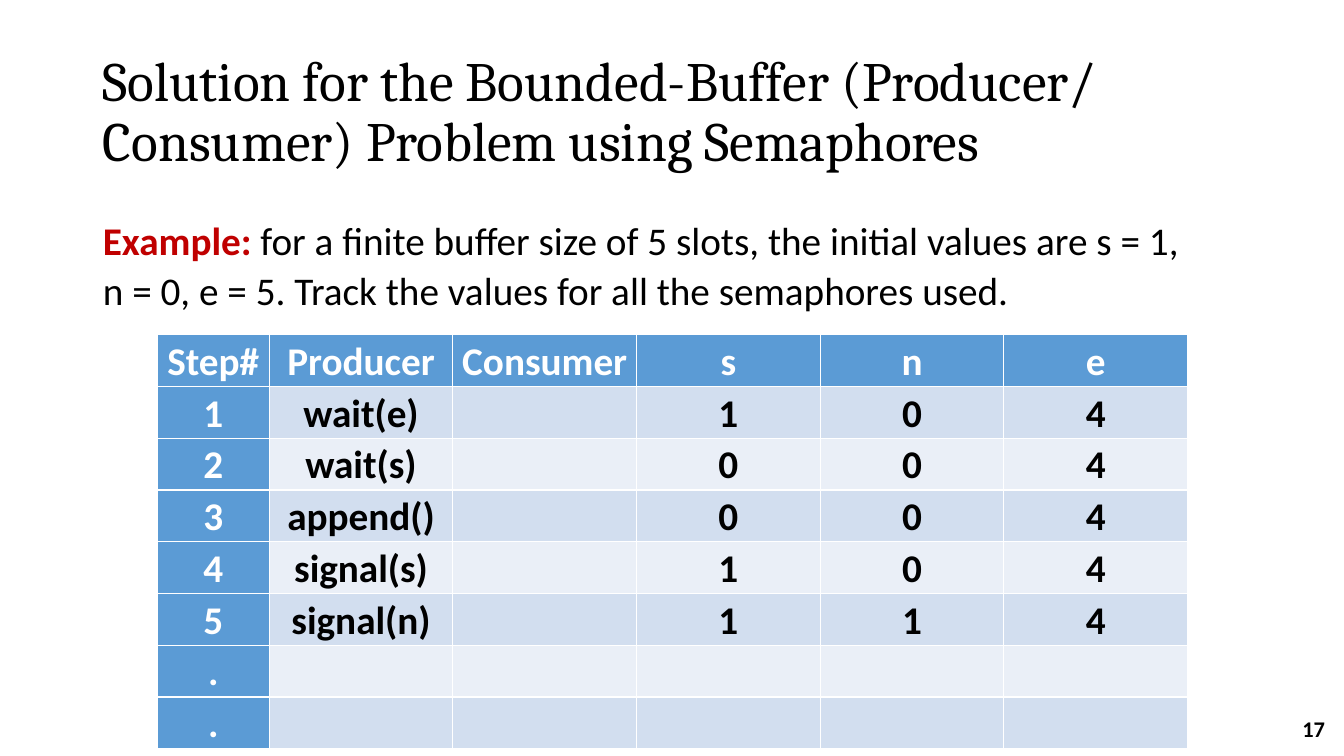
from pptx import Presentation
from pptx.dml.color import RGBColor
from pptx.enum.text import MSO_ANCHOR, MSO_AUTO_SIZE, PP_ALIGN
from pptx.util import Inches, Pt
from lxml.etree import SubElement
from pptx.oxml.ns import qn

BLACK = RGBColor(0x00, 0x00, 0x00)
WHITE = RGBColor(0xFF, 0xFF, 0xFF)
RED = RGBColor(0xC0, 0x00, 0x00)
BLUE = RGBColor(0x5B, 0x9B, 0xD5)
BANDS = (RGBColor(0xEA, 0xEF, 0xF7), RGBColor(0xD2, 0xDE, 0xEF))

TRACE = [
    ("Step#", "Producer", "Consumer", "s", "n", "e"),
    ("1", "wait(e)", "", "1", "0", "4"),
    ("2", "wait(s)", "", "0", "0", "4"),
    ("3", "append()", "", "0", "0", "4"),
    ("4", "signal(s)", "", "1", "0", "4"),
    ("5", "signal(n)", "", "1", "1", "4"),
    (".", "", "", "", "", ""),
    (".", "", "", "", "", ""),
]


def style(font, size, color, bold=False, name="Calibri"):
    font.name, font.size, font.bold = name, Pt(size), bold
    font.color.rgb = color


def place(shape, left, top, width, height):
    shape.left, shape.top = Inches(left), Inches(top)
    shape.width, shape.height = Inches(width), Inches(height)


def fill_title(title, *box):
    place(title, *box)
    frame = title.text_frame
    frame.text = "Solution for the Bounded-Buffer (Producer/ Consumer) Problem using Semaphores"
    frame.vertical_anchor = MSO_ANCHOR.MIDDLE
    frame.auto_size = MSO_AUTO_SIZE.NONE
    heading = frame.paragraphs[0]
    heading.alignment = PP_ALIGN.LEFT
    heading.line_spacing = 0.9
    style(heading.runs[0].font, 39.6, BLACK, name="Cambria")


def fill_example(body, *box):
    place(body, *box)
    frame = body.text_frame
    frame.auto_size = MSO_AUTO_SIZE.NONE
    example = frame.paragraphs[0]
    example.line_spacing = 1.07
    example.space_before, example.space_after = Pt(0), Pt(8)
    properties = example._p.get_or_add_pPr()
    properties.set("marL", "0")
    properties.set("indent", "0")
    SubElement(properties, qn("a:buNone"))

    label = example.add_run()
    label.text = "Example:"
    style(label.font, 28, RED, bold=True)
    setup = example.add_run()
    setup.text = " for a finite buffer size of 5 slots, the initial values are s = 1,"
    example.add_line_break()
    task = example.add_run()
    task.text = "n = 0, e = 5. Track the values for all the semaphores used."
    for run in (setup, task):
        style(run.font, 28, BLACK)


def add_trace_table(slide, left, top, width, height, step_width):
    """Semaphore values per step; the columns after the first share the rest."""
    columns = len(TRACE[0])
    table = slide.shapes.add_table(
        len(TRACE), columns, Inches(left), Inches(top), Inches(width), Inches(height)
    ).table
    table.first_col = True
    for index, column in enumerate(table.columns):
        rest = (width - step_width) / (columns - 1)
        column.width = Inches(rest if index else step_width)

    for r, values in enumerate(TRACE):
        for c, value in enumerate(values):
            is_heading = r == 0 or c == 0
            cell = table.cell(r, c)
            cell.fill.solid()
            cell.fill.fore_color.rgb = BLUE if is_heading else BANDS[r % 2]
            cell.margin_left = cell.margin_right = Inches(0.07)
            cell.margin_top = cell.margin_bottom = 0
            if value:
                cell.text_frame.text = value
                entry = cell.text_frame.paragraphs[0]
                entry.alignment = PP_ALIGN.CENTER
                entry.line_spacing = 1.07
                style(entry.runs[0].font, 28, WHITE if is_heading else BLACK, bold=True)


def add_page_number(slide, *box):
    frame = slide.shapes.add_textbox(*map(Inches, box)).text_frame
    frame.word_wrap = True
    frame.vertical_anchor = MSO_ANCHOR.MIDDLE
    frame.text = "17"
    number = frame.paragraphs[0]
    number.alignment = PP_ALIGN.RIGHT
    style(number.runs[0].font, 16, BLACK, bold=True)


def main():
    presentation = Presentation()
    presentation.slide_width = Inches(13.33)
    presentation.slide_height = Inches(7.5)
    slide = presentation.slides.add_slide(presentation.slide_layouts[1])
    fill_title(slide.shapes.title, 0.92, 0.4, 11.5, 1.45)
    fill_example(slide.placeholders[1], 0.92, 2.06, 11.5, 1.11)
    add_trace_table(slide, 1.56, 3.32, 10.22, 4.11, step_width=1.11)
    add_page_number(slide, 10.24, 7.03, 3, 0.4)
    presentation.save("out.pptx")


if __name__ == "__main__":
    main()
